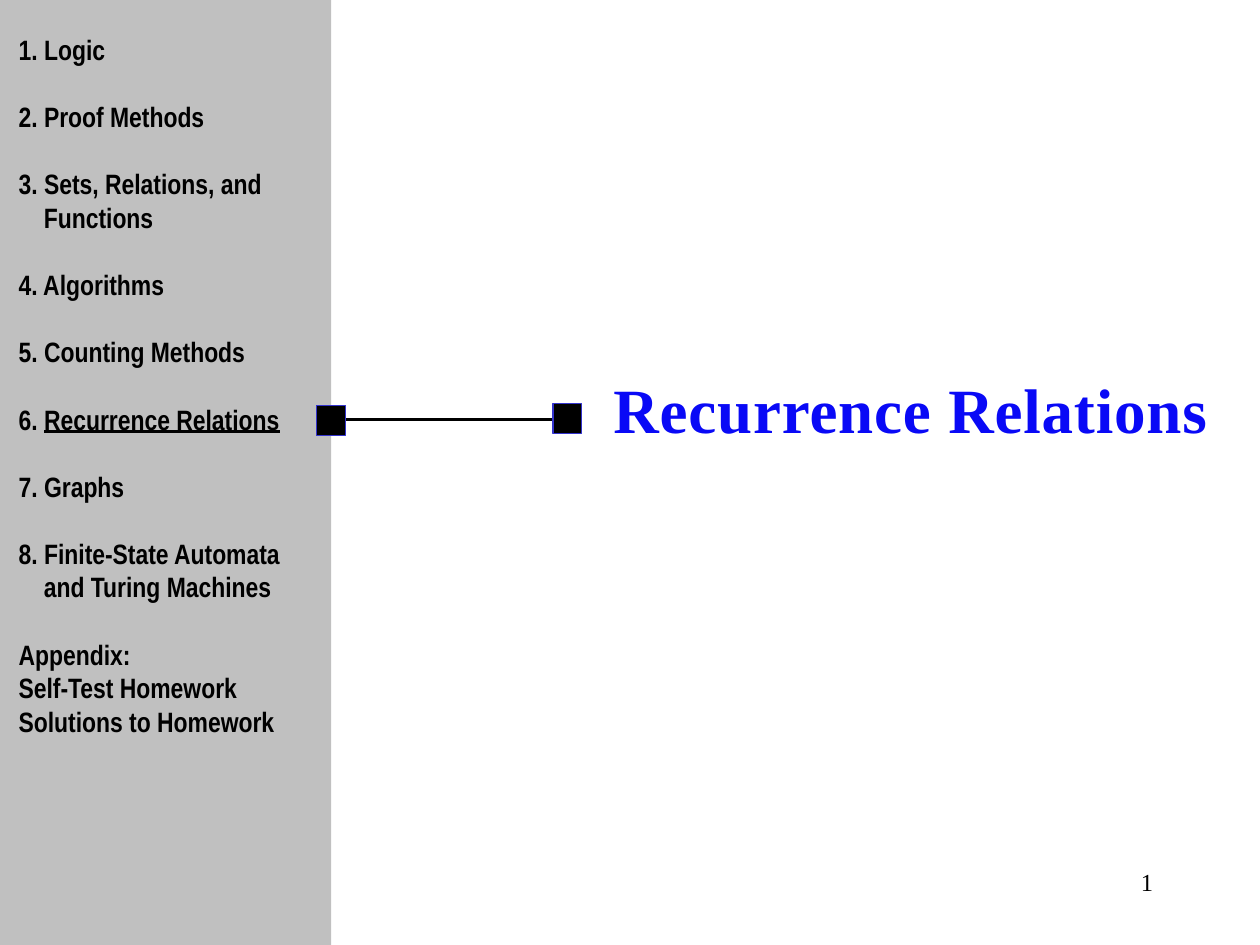
import pptx
import pptx.dml.color
import pptx.enum.shapes
import pptx.enum.text
import pptx.oxml
import pptx.util

Pt = pptx.util.Pt
COLORS = {
    "panel": "C0C0C0",
    "ink": "000000",
    "edge": "3333CC",
    "title_top": "0909F6",
    "title_bottom": "0101B3",
}
SERIF = "Times New Roman"
NARROW = "Arial Narrow"
LINE_GAP = 19.2
HANG = 14.4
CHAPTERS = [
    ["1. Logic"],
    ["2. Proof Methods"],
    ["3. Sets, Relations, and", "Functions"],
    ["4. Algorithms"],
    ["5. Counting Methods"],
    ["6. ", "Recurrence Relations"],
    ["7. Graphs"],
    ["8. Finite-State Automata", "and Turing Machines"],
]
CURRENT = "6. "
APPENDIX = ["Appendix:", "Self-Test Homework", "Solutions to Homework"]


def rgb(name):
    return pptx.dml.color.RGBColor.from_string(COLORS[name])


def add_box(s, x, y, w, h, wrap=True):
    tf = s.shapes.add_textbox(Pt(x), Pt(y), Pt(w), Pt(h)).text_frame
    tf.word_wrap = wrap
    return tf


def add_run(p, text, font, size, bold=False, underline=None):
    r = p.add_run()
    r.text = text
    r.font.name = font
    r.font.size = Pt(size)
    r.font.bold = bold
    r.font.underline = underline
    r.font.color.rgb = rgb("ink")
    return r


def add_rect(s, x, y, w, h, fill, line=None):
    sp = s.shapes.add_shape(pptx.enum.shapes.MSO_SHAPE.RECTANGLE,
                            Pt(x), Pt(y), Pt(w), Pt(h))
    sp.shadow.inherit = False
    sp.fill.solid()
    sp.fill.fore_color.rgb = rgb(fill)
    if line:
        sp.line.color.rgb = rgb(line)
        sp.line.width = Pt(0.75)
    else:
        sp.line.fill.background()


def add_line(s, x1, x2, y):
    cx = s.shapes.add_connector(pptx.enum.shapes.MSO_CONNECTOR.STRAIGHT,
                                Pt(x1), Pt(y), Pt(x2), Pt(y))
    cx.line.color.rgb = rgb("ink")
    cx.line.width = Pt(1.5)
    cx._element.spPr.append(pptx.oxml.parse_xml(
        '<a:effectLst xmlns:a="http://schemas.openxmlformats.org/drawingml/2006/main"/>'))


def add_title(s):
    tf = add_box(s, 343.4, 208, 358.6, 51, wrap=False)
    r = add_run(tf.paragraphs[0], "Recurrence Relations", SERIF, 36, bold=True)
    r.font.fill.gradient()
    r.font.fill.gradient_angle = 270
    stops = zip(r.font.fill.gradient_stops, (0.25, 1), ("title_top", "title_bottom"))
    for stop, position, color in stops:
        stop.position = position
        stop.color.rgb = rgb(color)
    r._r.get_or_add_rPr().set("spc", "50")


def add_contents(s):
    tf = add_box(s, 3.6, 15.1, 188, 434)

    def add_entry(text, gap=0, indent=0):
        first = not tf.paragraphs[0].runs
        p = tf.paragraphs[0] if first else tf.add_paragraph()
        p.space_before = Pt(0 if first else gap)
        p._p.get_or_add_pPr().set("marL", str(Pt(indent)))
        add_run(p, text, NARROW, 16, bold=True)
        return p

    for head, *rest in CHAPTERS:
        p = add_entry(head, gap=LINE_GAP)
        for text in rest:
            if head == CURRENT:
                add_run(p, text, NARROW, 16, bold=True, underline=True)
            else:
                add_entry(text, indent=HANG)
    for i, text in enumerate(APPENDIX):
        add_entry(text, gap=0 if i else LINE_GAP)


def add_page_number(s):
    p = add_box(s, 516, 492, 150, 36).paragraphs[0]
    p.alignment = pptx.enum.text.PP_ALIGN.RIGHT
    add_run(p, "1", SERIF, 14)


def main():
    prs = pptx.Presentation()
    prs.slide_width, prs.slide_height = Pt(720), Pt(540)
    s = prs.slides.add_slide(prs.slide_layouts[6])
    add_page_number(s)
    add_title(s)
    add_rect(s, -0.7, 0, 190, 540, "panel")
    add_line(s, 194.4, 322.6, 239.6)
    add_rect(s, 316.1, 230.5, 16.2, 17.2, "ink", "edge")
    add_rect(s, 180.9, 231.6, 16.5, 17.2, "ink", "edge")
    add_contents(s)
    prs.save("out.pptx")


if __name__ == "__main__":
    main()
